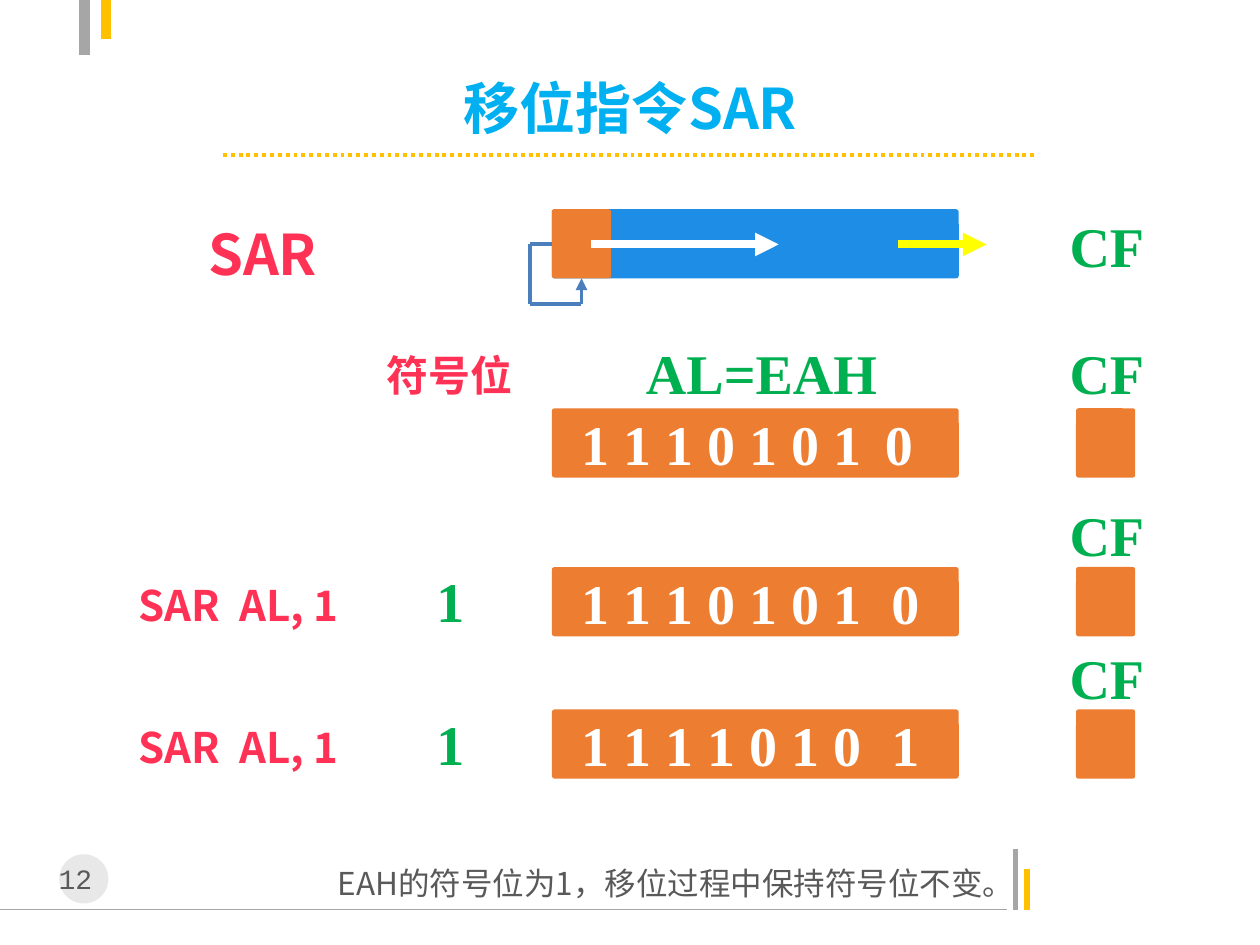
from pptx import Presentation
from pptx.dml.color import RGBColor
from pptx.enum.dml import MSO_LINE_DASH_STYLE as Dash
from pptx.enum.shapes import MSO_CONNECTOR as Connector, MSO_SHAPE as Shape
from pptx.enum.text import MSO_ANCHOR as Anchor, MSO_AUTO_SIZE as AutoSize, PP_ALIGN as Align
from pptx.oxml.ns import qn
from pptx.util import Inches, Pt
from lxml.etree import SubElement

COLORS = {
    "orange": "ED7D31", "blue": "1D8DE5", "green": "00B050", "red": "FF3255",
    "sky": "00B0F0", "gold": "FFC000", "yellow": "FFFF00", "white": "FFFFFF",
    "gray": "A6A6A6", "disc": "BFBFBF", "text": "595959", "loop": "4B7EBC",
}
SANS, SERIF, MONO = "Noto Sans CJK SC", "Times New Roman", "Courier New"
REGISTER_LEFT, REGISTER_WIDTH = 4.38, 3.23
CELL_WIDTH, CELL_HEIGHT = 0.47, 0.55
CARRY_LEFT = 8.54


def rgb(name):
    return RGBColor.from_string(COLORS[name])


class SlideBuilder:
    def __init__(self, page):
        self.page = page

    def format_text(self, frame, text, size, color, font, bold=True,
                    align=Align.CENTER, spacing=None):
        frame.text = text
        para = frame.paragraphs[0]
        para.alignment = align
        if spacing:
            para.line_spacing = spacing
        span = para.runs[0]
        span.font.size = Pt(size)
        span.font.bold = bold
        span.font.name = font
        span.font.color.rgb = rgb(color)
        SubElement(span.font._element, qn("a:ea"), typeface=font)

    def title(self, text):
        title = self.page.shapes.title
        title.left, title.top = Inches(1.38), Inches(0.6)
        title.width, title.height = Inches(7.25), Inches(0.5)
        frame = title.text_frame
        self.format_text(frame, text, 32, "sky", SANS)
        frame.word_wrap = False
        frame.auto_size = AutoSize.NONE
        frame.vertical_anchor = Anchor.MIDDLE

    def text(self, text, left, top, width, height, size, color, font=SANS,
             anchor=Anchor.MIDDLE, **style):
        box = self.page.shapes.add_textbox(
            Inches(left), Inches(top), Inches(width), Inches(height))
        frame = box.text_frame
        frame.word_wrap = True
        frame.vertical_anchor = anchor
        self.format_text(frame, text, size, color, font, **style)
        return frame

    def label(self, text, left, top, width, color):
        """Add a large serif label with tight margins."""
        frame = self.text(text, left, top, width, 0.43, 32, color, SERIF, Anchor.TOP)
        frame.word_wrap = False
        frame.margin_left, frame.margin_right = Inches(0.02), Inches(0.01)
        frame.margin_top = frame.margin_bottom = 0

    def command(self, text, left, top, height=0.56, size=24):
        self.text(text, left, top, 1.97, height, size, "red", spacing=1.14)

    def shape(self, kind, left, top, width, height, color):
        shape = self.page.shapes.add_shape(
            kind, Inches(left), Inches(top), Inches(width), Inches(height))
        shape.shadow.inherit = False
        shape.fill.solid()
        shape.fill.fore_color.rgb = rgb(color)
        shape.line.fill.background()
        return shape

    def cell(self, left, top, width=CELL_WIDTH, color="orange"):
        shape = self.shape(Shape.ROUNDED_RECTANGLE, left, top, width, CELL_HEIGHT, color)
        shape.adjustments[0] = 0.044
        return shape

    def disc(self, left, top, size, color, opacity):
        disc = self.shape(Shape.OVAL, left, top, size, size, color)
        fill = disc.fill._xPr.find(qn("a:solidFill"))
        SubElement(fill[0], qn("a:alpha"), val=str(opacity * 1000))

    def line(self, start, end, color, width, arrow=False, dash=None):
        line = self.page.shapes.add_connector(
            Connector.STRAIGHT, *(Inches(value) for value in (*start, *end)))
        line.line.color.rgb = rgb(color)
        line.line.width = Pt(width)
        if dash:
            line.line.dash_style = dash
        if arrow:
            SubElement(line.line._get_or_add_ln(), qn("a:tailEnd"), type="triangle")
        SubElement(line._element.spPr, qn("a:effectLst"))
        return line


def add_decoration(builder):
    for start, end, color, width in [
        ((0, 7.22), (7.99, 7.22), "gray", 0.75),
        ((8.06, 7.22), (8.06, 6.74), "gray", 3),
        ((8.15, 7.22), (8.15, 6.9), "gold", 3),
        ((0.67, 0.44), (0.67, -0.03), "gray", 6),
        ((0.84, 0), (0.84, 0.31), "gold", 6),
    ]:
        builder.line(start, end, color, width)
    builder.disc(0.47, 6.78, 0.39, "disc", 35)
    builder.text("12 ", 0.31, 6.79, 0.71, 0.37, 16, "text", MONO, Anchor.TOP, bold=False)


def add_shift_diagram(builder):
    top = 1.66
    builder.command("SAR", 1.1, 1.64, 0.67, 32)
    builder.label("CF", 8.23, 1.68, 1.1, "green")
    builder.cell(REGISTER_LEFT, top, REGISTER_WIDTH, "blue")
    sign_cell = builder.cell(REGISTER_LEFT, top)
    builder.line((7.13, 1.94), (7.83, 1.94), "yellow", 4.5, arrow=True)
    builder.line((4.69, 1.94), (6.18, 1.94), "white", 4.5, arrow=True)

    middle, center = top + CELL_HEIGHT / 2, REGISTER_LEFT + CELL_WIDTH / 2
    corners = [(REGISTER_LEFT, middle), (4.21, middle), (4.21, 2.41),
               (center, 2.41), (center, top + CELL_HEIGHT)]
    loop = [builder.line(start, end, "loop", 2.25, arrow=end == corners[-1])
            for start, end in zip(corners, corners[1:])]
    loop[0].begin_connect(sign_cell, 1)
    loop[-1].end_connect(sign_cell, 2)


def add_register_row(builder, top, carry_top, high_bits, low_bit, low_left, command):
    builder.cell(REGISTER_LEFT, top, REGISTER_WIDTH)
    builder.cell(CARRY_LEFT, top)
    builder.label("CF", 8.23, carry_top, 1.1, "green")
    builder.label(high_bits, 4.29, top + 0.01, 2.86, "white")
    builder.label(low_bit, low_left, top + 0.01, 0.36, "white")
    if command:
        builder.command(command, 0.91, top - 0.01)
        builder.label("1", 3.39, top, 0.36, "green")


def main():
    deck = Presentation()
    deck.slide_width, deck.slide_height = Inches(10), Inches(7.5)
    builder = SlideBuilder(deck.slides.add_slide(deck.slide_layouts[5]))

    add_decoration(builder)
    builder.title("移位指令SAR")
    builder.line((1.77, 1.23), (8.23, 1.23), "gold", 2.25, dash=Dash.ROUND_DOT)
    add_shift_diagram(builder)

    builder.command("符号位", 2.58, 2.68, 0.53)
    builder.label("AL=EAH", 5.04, 2.69, 2, "green")
    for row in [
        (3.24, 2.69, "1 1 1 0 1 0 1", "0", 6.95, None),
        (4.5, 3.97, "1 1 1 0 1 0 1", "0", 7, "SAR  AL, 1"),
        (5.63, 5.11, "1 1 1 1 0 1 0", "1", 7, "SAR  AL, 1"),
    ]:
        add_register_row(builder, *row)

    builder.text("EAH的符号位为1，移位过程中保持符号位不变。", 2.58, 6.75, 5.75, 0.46,
                 18, "text", anchor=Anchor.TOP, bold=False, align=Align.LEFT, spacing=1.2)
    deck.save("out.pptx")


if __name__ == "__main__":
    main()
